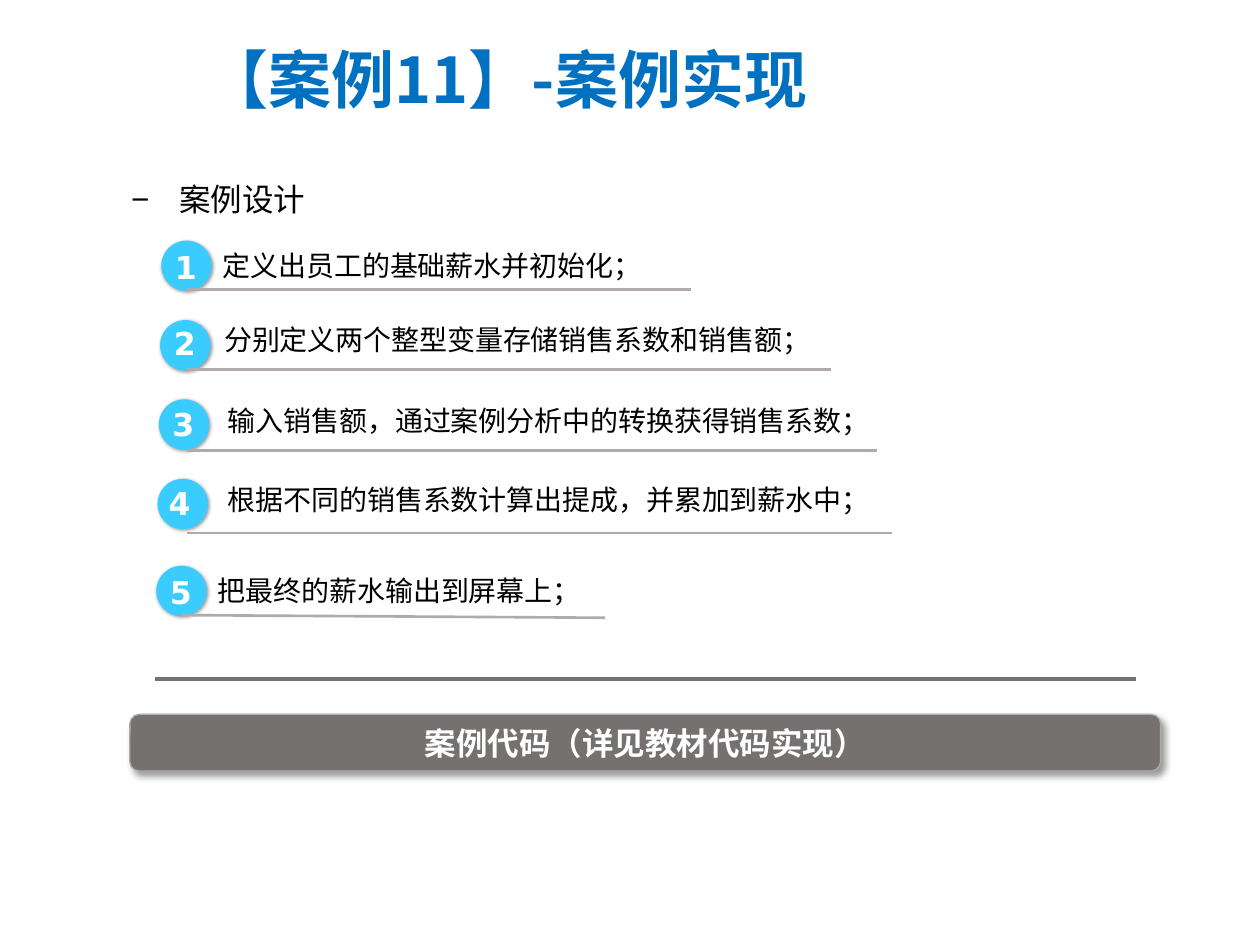
import pptx
import pptx.dml.color
import pptx.enum.shapes
import pptx.enum.text
import pptx.oxml
import pptx.oxml.ns
import pptx.util

Pt = pptx.util.Pt
qn = pptx.oxml.ns.qn
SHAPES = pptx.enum.shapes.MSO_SHAPE
ALIGN = pptx.enum.text.PP_ALIGN
ANCHOR = pptx.enum.text.MSO_ANCHOR

COLORS = {
    "title": "0070C0",
    "text": "000000",
    "white": "FFFFFF",
    "badge": "3BCCFF",
    "bar": "767171",
    "rule": "AFABAB",
}
CJK_FONT = "Noto Sans CJK SC"
BADGE_SIZE = 28.8

# Per step: text, label (left, top, width), line spacing,
# badge top, number (left, top), underline (x1, y1, x2, y2)
STEPS = [
    ("定义出员工的基础薪水并初始化；", (120.2, 132.5, 274.3), 1.3,
     137.5, (92.9, 138.2), (106.6, 165.6, 395, 165.6)),
    ("分别定义两个整型变量存储销售系数和销售额；", (121, 180.7, 353.5), 1,
     182.9, (92.2, 181.4), (106.6, 211, 475, 211)),
    ("输入销售额，通过案例分析中的转换获得销售系数；", (123.1, 226.8, 386), 1,
     228.2, (91.4, 228.2), (107, 257.6, 501, 257.6)),
    ("根据不同的销售系数计算出提成，并累加到薪水中；", (123.1, 272.2, 386), 1,
     273.6, (89.3, 272.9), (106.6, 304.5, 509.5, 304.5)),
    ("把最终的薪水输出到屏幕上；", (117.4, 318.2, 251.3), 1.3,
     323.3, (90, 324), (104, 351.5, 345.6, 353)),
]


def color(name):
    return pptx.dml.color.RGBColor.from_string(COLORS[name])


def add_xml(parent, markup):
    namespace = pptx.oxml.ns.nsdecls("a")
    parent.append(pptx.oxml.parse_xml(markup.replace(">", f" {namespace}>", 1)))


def add_span(para, text, size, font, color_name, bold=False):
    span = para.add_run()
    span.text = text
    span.font.size = Pt(size)
    span.font.name = font
    span.font.bold = bold
    span.font.color.rgb = color(color_name)
    add_xml(span.font._element, f'<a:ea typeface="{CJK_FONT}"></a:ea>')


def place(shape, left, top, width, height):
    shape.left, shape.top = Pt(left), Pt(top)
    shape.width, shape.height = Pt(width), Pt(height)


def set_indent(para, indent):
    properties = para._p.get_or_add_pPr()
    properties.set("marL", str(Pt(indent)))
    properties.set("indent", str(-Pt(indent)))
    return properties


def add_shadow(shape, blur, distance):
    shape.shadow.inherit = False
    effects = shape._element.spPr.find(qn("a:effectLst"))
    add_xml(effects, f'<a:outerShdw blurRad="{Pt(blur)}" dist="{Pt(distance)}" '
            'dir="2700000" algn="tl" rotWithShape="0"><a:srgbClr val="000000">'
            '<a:alpha val="40000"/></a:srgbClr></a:outerShdw>')


def add_filled_shape(page, kind, area, fill, blur, distance):
    shape = page.shapes.add_shape(kind, *map(Pt, area))
    shape.fill.solid()
    shape.fill.fore_color.rgb = color(fill)
    shape.line.fill.background()
    add_shadow(shape, blur, distance)
    return shape


def add_line(page, ends, color_name, width):
    line = page.shapes.add_connector(
        pptx.enum.shapes.MSO_CONNECTOR.STRAIGHT, *map(Pt, ends))
    line.line.color.rgb = color(color_name)
    line.line.width = Pt(width)
    add_xml(line._element.spPr, "<a:effectLst></a:effectLst>")


def add_text(page, area, wrap=True):
    box = page.shapes.add_textbox(*map(Pt, area))
    box.text_frame.word_wrap = wrap
    return box.text_frame.paragraphs[0]


def fill_title(page):
    title = page.shapes.title
    place(title, 110.2, 14.4, 467.3, 60.5)
    title.text_frame.vertical_anchor = ANCHOR.MIDDLE
    para = title.text_frame.paragraphs[0]
    para.alignment = ALIGN.LEFT
    set_indent(para, 44.6)
    add_span(para, "【案例11】-案例实现", 36, CJK_FONT, "title", True)


def fill_body(page):
    body = page.placeholders[1]
    place(body, 67.7, 88.6, 298.8, 40.3)
    body.text_frame.auto_size = pptx.enum.text.MSO_AUTO_SIZE.NONE
    para = body.text_frame.paragraphs[0]
    properties = set_indent(para, 27.4)
    add_xml(properties, '<a:buFont typeface="Arial"></a:buFont>')
    add_xml(properties, '<a:buChar char="−"></a:buChar>')
    para.line_spacing = 1.5
    para.space_before = Pt(0)
    add_span(para, "案例设计", 18, "Arial", "text")


def add_step(page, index, text, label, spacing, badge_top, number, underline):
    badge = add_filled_shape(
        page, SHAPES.OVAL,
        (92.2 - 0.72 * index, badge_top, BADGE_SIZE, BADGE_SIZE), "badge", 2, 1)
    badge.rotation = 9.6
    para = add_text(page, (*number, 27.4, 28.8), wrap=False)
    add_span(para, str(index + 1), 18, "DejaVu Sans", "white", True)
    add_line(page, underline, "rule", 1.5)
    para = add_text(page, (*label, 32.4 if spacing > 1 else 26.6))
    para.line_spacing = spacing
    add_span(para, text, 16, "Calibri", "text")


def add_code_bar(page):
    bar = add_filled_shape(page, SHAPES.ROUNDED_RECTANGLE,
                           (74.2, 408.2, 589, 32.4), "bar", 4, 3)
    bar.line.color.rgb = color("rule")
    bar.line.width = Pt(0.75)
    bar.text_frame.vertical_anchor = ANCHOR.MIDDLE
    para = bar.text_frame.paragraphs[0]
    para.alignment = ALIGN.CENTER
    add_span(para, "案例代码（详见教材代码实现）", 18, "Calibri", "white", True)


def main():
    deck = pptx.Presentation()
    deck.slide_width, deck.slide_height = Pt(720), Pt(540)
    page = deck.slides.add_slide(deck.slide_layouts[1])

    # Heading and section line
    fill_title(page)
    fill_body(page)

    # Numbered steps
    for index, step in enumerate(STEPS):
        add_step(page, index, *step)

    # Divider and closing bar
    add_line(page, (88.6, 388.1, 649.4, 388.1), "bar", 2.25)
    add_code_bar(page)

    deck.save("out.pptx")


if __name__ == "__main__":
    main()
